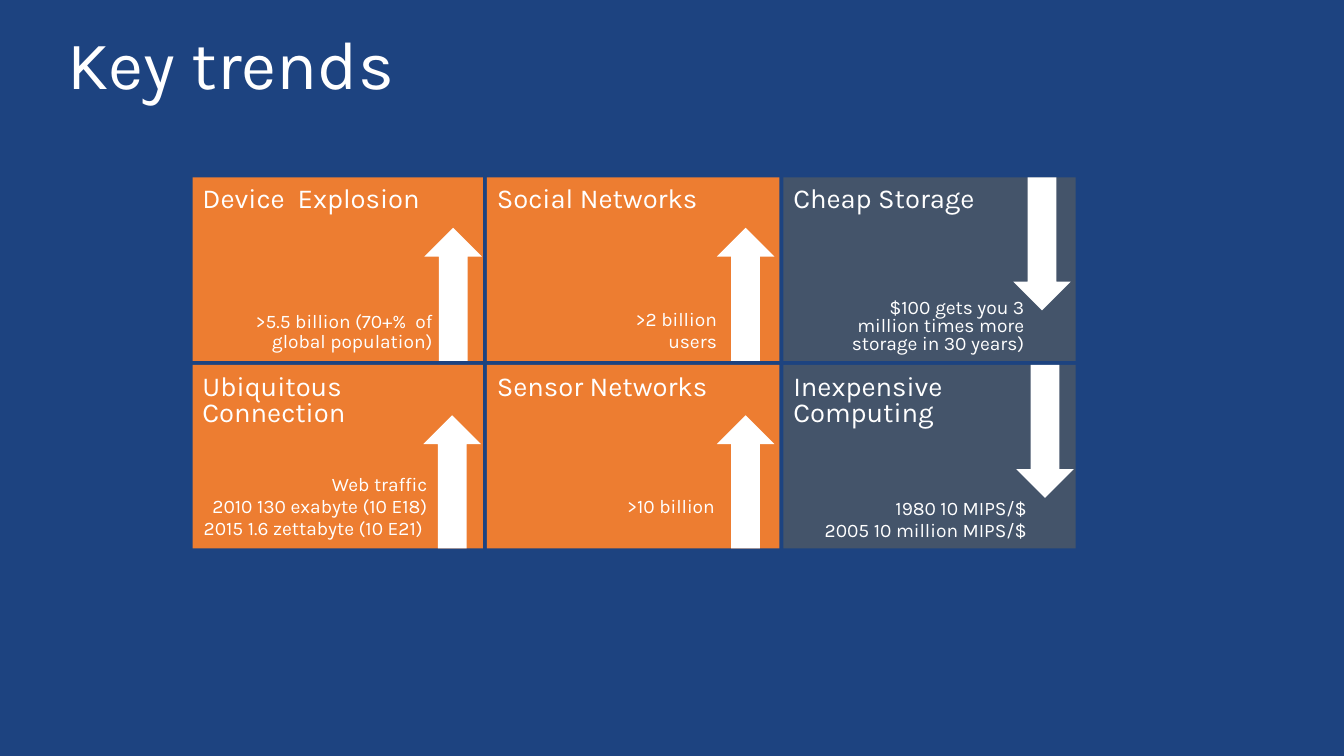
from dataclasses import dataclass

from pptx import Presentation
from pptx.dml.color import RGBColor
from pptx.enum.shapes import MSO_SHAPE
from pptx.enum.text import MSO_ANCHOR, MSO_AUTO_SIZE, PP_ALIGN
from pptx.util import Inches, Pt

COLORS = {
    "background": "1D4380",
    "rising": "ED7D31",
    "falling": "44546A",
    "white": "FFFFFF",
}
FONT = "Karla"
GRID_LEFT, GRID_TOP = 1.91, 1.76
COLUMN_WIDTHS = (2.88, 2.9, 2.9)
ROW_HEIGHT = 1.82
GAP = 0.04
ARROW_WIDTH, ARROW_HEIGHT = 0.57, 1.32


@dataclass
class Trend:
    heading: str
    facts: tuple
    facts_box: tuple
    arrow_inset: float
    rising: bool = True
    fact_spacing: float = 0.8


TRENDS = (
    (
        Trend("Device  Explosion", (">5.5 billion (70+%  of global population)",),
              (0.41, 1.33, 1.97, 0.42), 0.58, fact_spacing=0.9),
        Trend("Social Networks", (">2 billion", "users"),
              (0.53, 1.33, 1.75, 0.42), 0.62),
        Trend("Cheap Storage", ("$100 gets you 3 million times more storage in 30 years)",),
              (0.66, 1.21, 1.73, 0.55), 0.62, rising=False),
    ),
    (
        Trend("Ubiquitous Connection",
              ("Web traffic", "2010 130 exabyte (10 E18)", "2015 1.6 zettabyte (10 E21) "),
              (-0.07, 1.11, 2.4, 0.65), 0.59),
        Trend("Sensor Networks", (">10 billion",),
              (0.49, 1.33, 1.77, 0.42), 0.62),
        Trend("Inexpensive Computing", ("1980 10 MIPS/$ ", "2005 10 million MIPS/$ "),
              (0.35, 1.35, 2.11, 0.42), 0.59, rising=False),
    ),
)


def color(name):
    return RGBColor.from_string(COLORS[name])


def write(frame, lines, size, align, line_spacing, space_before=0.0):
    frame.word_wrap = True
    frame.vertical_anchor = MSO_ANCHOR.TOP
    for index, line in enumerate(lines):
        paragraph = frame.add_paragraph() if index else frame.paragraphs[0]
        paragraph.alignment = align
        paragraph.line_spacing = line_spacing
        paragraph.space_before = Pt(space_before)
        run = paragraph.add_run()
        run.text = line
        run.font.name = FONT
        run.font.size = Pt(size)
        run.font.color.rgb = color("white")


def set_margins(frame, margin):
    frame.margin_left = frame.margin_right = Inches(margin)
    frame.margin_top = frame.margin_bottom = Inches(margin)


def add_block(slide, preset, box, fill):
    block = slide.shapes.add_shape(preset, *map(Inches, box))
    block.shadow.inherit = False
    block.fill.solid()
    block.fill.fore_color.rgb = color(fill)
    block.line.fill.background()
    return block


def add_title(slide, box):
    title = slide.shapes.title
    title.left, title.top, title.width, title.height = map(Inches, box)
    title.text_frame.auto_size = MSO_AUTO_SIZE.NONE
    write(title.text_frame, ("Key trends",), 48.6, PP_ALIGN.LEFT, 0.9)


def add_trend(slide, trend, box):
    left, top, width, height = box
    card = add_block(slide, MSO_SHAPE.RECTANGLE, box, "rising" if trend.rising else "falling")
    set_margins(card.text_frame, 0.1)
    write(card.text_frame, (trend.heading,), 19.6, PP_ALIGN.LEFT, 0.8)

    dx, dy, facts_width, facts_height = trend.facts_box
    facts = slide.shapes.add_textbox(
        Inches(left + dx), Inches(top + dy), Inches(facts_width), Inches(facts_height))
    set_margins(facts.text_frame, 0)
    write(facts.text_frame, trend.facts, 13.7, PP_ALIGN.RIGHT, trend.fact_spacing, 2.7)

    arrow_top = top + height - ARROW_HEIGHT if trend.rising else top
    direction = MSO_SHAPE.UP_ARROW if trend.rising else MSO_SHAPE.DOWN_ARROW
    arrow_left = left + width - trend.arrow_inset
    add_block(slide, direction, (arrow_left, arrow_top, ARROW_WIDTH, ARROW_HEIGHT), "white")


def add_trend_grid(slide, left, top):
    for row, trends in enumerate(TRENDS):
        card_left = left
        card_top = top + row * (ROW_HEIGHT + GAP)
        for trend, width in zip(trends, COLUMN_WIDTHS):
            add_trend(slide, trend, (card_left, card_top, width, ROW_HEIGHT))
            card_left += width + GAP


def main():
    presentation = Presentation()
    presentation.slide_width = Inches(13.33)
    presentation.slide_height = Inches(7.5)
    slide = presentation.slides.add_slide(presentation.slide_layouts.get_by_name("Title Only"))
    slide.background.fill.solid()
    slide.background.fill.fore_color.rgb = color("background")
    add_title(slide, (0.57, 0.25, 12.2, 0.82))
    add_trend_grid(slide, GRID_LEFT, GRID_TOP)
    presentation.save("out.pptx")


if __name__ == "__main__":
    main()
